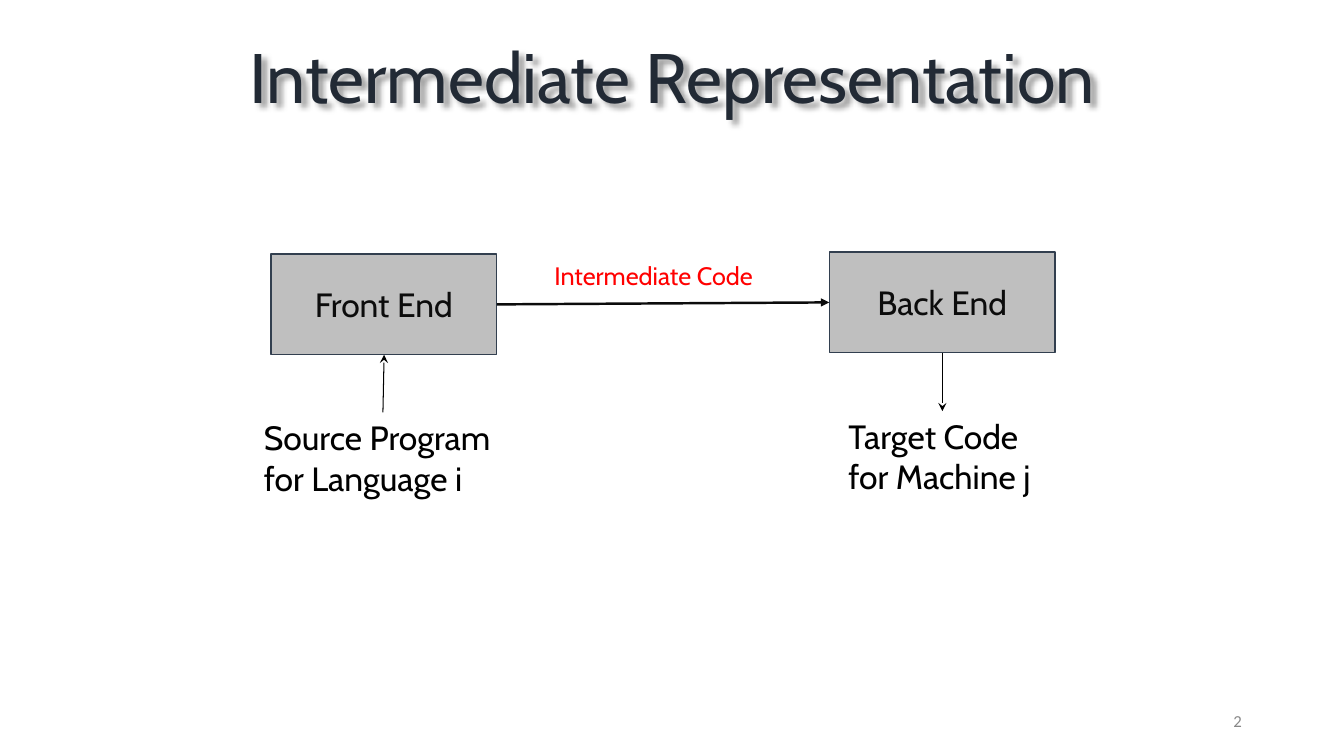
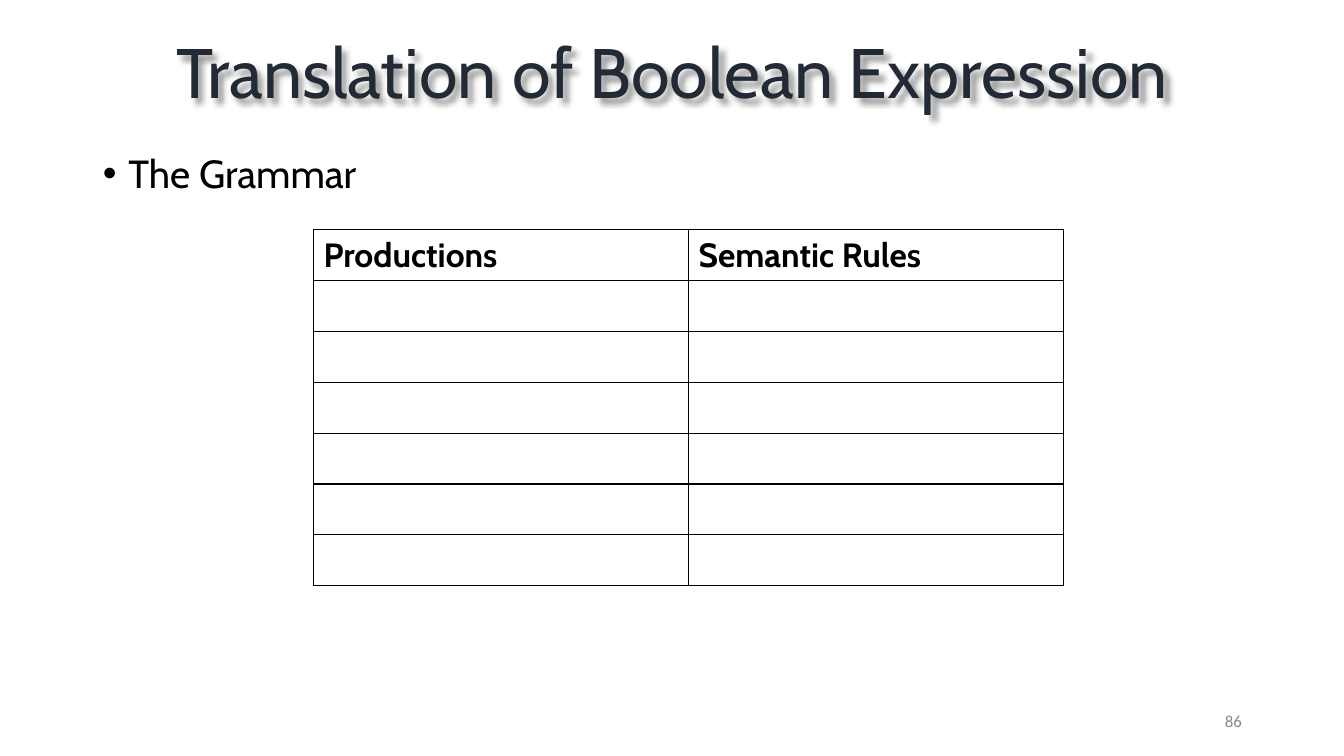
from dataclasses import dataclass

from lxml import etree
from pptx import Presentation
from pptx.dml.color import RGBColor
from pptx.enum.shapes import MSO_CONNECTOR, MSO_SHAPE
from pptx.enum.text import MSO_ANCHOR, MSO_AUTO_SIZE, PP_ALIGN
from pptx.oxml.ns import qn
from pptx.slide import Slide
from pptx.text.text import TextFrame
from pptx.util import Cm, Pt

RECT = MSO_SHAPE.RECTANGLE
STRAIGHT = MSO_CONNECTOR.STRAIGHT
TOP, MIDDLE = MSO_ANCHOR.TOP, MSO_ANCHOR.MIDDLE
LEFT, CENTER, RIGHT = PP_ALIGN.LEFT, PP_ALIGN.CENTER, PP_ALIGN.RIGHT
FIXED = MSO_AUTO_SIZE.NONE

NAVY = RGBColor(0x22, 0x2A, 0x35)
SLATE = RGBColor(0x32, 0x3F, 0x4F)
SILVER = RGBColor(0xBF, 0xBF, 0xBF)
GRAY = RGBColor(0x88, 0x88, 0x88)
INK = RGBColor(0x0C, 0x0C, 0x0C)
BLACK = RGBColor(0, 0, 0)
RED = RGBColor(0xFF, 0, 0)

FONT = "Cabin"
MARGIN, WIDTH = 2.34, 29.21


@dataclass(frozen=True)
class Area:
    left: float
    top: float
    width: float
    height: float

    def cm(self) -> tuple[Cm, Cm, Cm, Cm]:
        return Cm(self.left), Cm(self.top), Cm(self.width), Cm(self.height)


@dataclass(frozen=True)
class Style:
    size: float
    color: RGBColor
    align: PP_ALIGN = LEFT
    anchor: MSO_ANCHOR = TOP
    font: str = FONT
    bold: bool = False
    spacing: float = 1.0


@dataclass(frozen=True)
class Label:
    lines: tuple[str, ...]
    area: Area
    style: Style


@dataclass(frozen=True)
class Box:
    text: str
    area: Area


@dataclass(frozen=True)
class Arrow:
    start: tuple[float, float]
    end: tuple[float, float]
    color: RGBColor
    weight: float
    head: str


TITLE = Style(50, NAVY, CENTER, MIDDLE, spacing=0.9)
BODY = Style(28, BLACK, spacing=0.9)
BOX = Style(24, INK, CENTER, MIDDLE)
NOTE = Style(24, BLACK)
CODE = Style(18, RED)
HEADER = Style(24, BLACK, bold=True)
NUMBER = Style(12, GRAY, RIGHT, MIDDLE, "Calibri")

NUMBER_AREA = Area(23.93, 17.65, 7.62, 1.02)
BODY_AREA = Area(MARGIN, 3.76, WIDTH, 13.41)

BOXES = (
    Box("Front End", Area(6.83, 6.4, 5.69, 2.54)),
    Box("Back End", Area(20.9, 6.35, 5.69, 2.54)),
)
LABELS = (
    Label(("Intermediate Code",), Area(13.72, 6.43, 5.59, 1.02), CODE),
    Label(("Source Program", "for Language i"), Area(6.4, 10.39, 6.53, 2.31), NOTE),
    Label(("Target Code", "for Machine j"), Area(21.13, 10.36, 5.23, 2.31), NOTE),
)
ARROWS = (
    Arrow((12.52, 7.67), (20.9, 7.62), INK, 1.75, "triangle"),
    Arrow((9.65, 10.39), (9.68, 8.94), BLACK, 0.75, "stealth"),
    Arrow((23.75, 8.89), (23.75, 10.36), BLACK, 0.75, "stealth"),
)

HEADS = ("Productions", "Semantic Rules")
ROWS = 7
COLUMN, ROW = 9.45, 1.28
TABLE_LEFT, TABLE_TOP = 7.9, 5.79


def add_node(parent: etree._Element, tag: str, **attrs: str) -> etree._Element:
    return etree.SubElement(parent, qn(tag), attrs)


def write(frame: TextFrame, lines: tuple[str, ...], style: Style) -> None:
    frame.word_wrap = True
    frame.auto_size = FIXED
    frame.vertical_anchor = style.anchor
    for index, line in enumerate(lines):
        para = frame.add_paragraph() if index else frame.paragraphs[0]
        para.alignment = style.align
        para.line_spacing = style.spacing
        para.space_before = Pt(0)
        run = para.add_run()
        run.text = line
        run.font.name = style.font
        run.font.size = Pt(style.size)
        run.font.bold = style.bold
        run.font.color.rgb = style.color


def place(holder, area: Area) -> None:
    holder.left, holder.top, holder.width, holder.height = area.cm()


def add_label(slide: Slide, label: Label) -> None:
    box = slide.shapes.add_textbox(*label.area.cm())
    write(box.text_frame, label.lines, label.style)


def start_slide(deck, layout: int, title: str, top: float, height: float, number: str) -> Slide:
    slide = deck.slides.add_slide(deck.slide_layouts[layout])
    holder = slide.shapes.title
    place(holder, Area(MARGIN, top, WIDTH, height))
    write(holder.text_frame, (title,), TITLE)
    effects = add_node(holder.element.spPr, "a:effectLst")
    shadow = add_node(effects, "a:outerShdw", blurRad="50800", dist="50800",
                      dir="2700000", algn="tl", rotWithShape="0")
    color = add_node(shadow, "a:srgbClr", val=str(BLACK))
    add_node(color, "a:alpha", val="40000")
    add_label(slide, Label((number,), NUMBER_AREA, NUMBER))
    return slide


def add_box(slide: Slide, box: Box) -> None:
    shape = slide.shapes.add_shape(RECT, *box.area.cm())
    shape.shadow.inherit = False
    shape.fill.solid()
    shape.fill.fore_color.rgb = SILVER
    shape.line.color.rgb = SLATE
    shape.line.width = Pt(1)
    write(shape.text_frame, (box.text,), BOX)


def add_arrow(slide: Slide, arrow: Arrow) -> None:
    ends = (Cm(value) for value in arrow.start + arrow.end)
    link = slide.shapes.add_connector(STRAIGHT, *ends)
    link.line.color.rgb = arrow.color
    link.line.width = Pt(arrow.weight)
    props = link.element.spPr
    add_node(props.find(qn("a:ln")), "a:tailEnd", type=arrow.head)
    add_node(props, "a:effectLst")


def add_list(slide: Slide, lines: tuple[str, ...]) -> None:
    holder = slide.placeholders[1]
    place(holder, BODY_AREA)
    write(holder.text_frame, lines, BODY)
    for para in holder.text_frame.paragraphs:
        props = para._p.get_or_add_pPr()
        props.set("marL", str(Cm(0.64)))
        props.set("indent", str(Cm(-0.64)))
        color = add_node(props, "a:buClr")
        add_node(color, "a:srgbClr", val=str(BLACK))
        add_node(props, "a:buFont", typeface="Arial")
        add_node(props, "a:buChar", char="•")


def frame_cell(cell) -> None:
    props = cell._tc.get_or_add_tcPr()
    for side in ("a:lnL", "a:lnR", "a:lnT", "a:lnB"):
        line = add_node(props, side, w=str(Pt(1)))
        fill = add_node(line, "a:solidFill")
        add_node(fill, "a:srgbClr", val=str(BLACK))
    cell.fill.background()


def add_grid(slide: Slide) -> None:
    area = Area(TABLE_LEFT, TABLE_TOP, COLUMN * len(HEADS), ROW * ROWS)
    table = slide.shapes.add_table(ROWS, len(HEADS), *area.cm()).table
    table.first_row = False
    table.horz_banding = False
    for column in table.columns:
        column.width = Cm(COLUMN)
    for row in table.rows:
        row.height = Cm(ROW)
    for cell in table.iter_cells():
        frame_cell(cell)
    for index, head in enumerate(HEADS):
        write(table.cell(0, index).text_frame, (head,), HEADER)


def draw_flow(deck) -> None:
    slide = start_slide(deck, 5, "Intermediate Representation", 0.41, 3.23, "2")
    for box in BOXES:
        add_box(slide, box)
    for label in LABELS:
        add_label(slide, label)
    for arrow in ARROWS:
        add_arrow(slide, arrow)


def draw_grammar(deck) -> None:
    slide = start_slide(deck, 1, "Translation of Boolean Expression", 0.08, 3.68, "86")
    add_list(slide, ("The Grammar",))
    add_grid(slide)


def main() -> None:
    deck = Presentation()
    deck.slide_width, deck.slide_height = Cm(33.87), Cm(19.05)
    draw_flow(deck)
    draw_grammar(deck)
    deck.save("out.pptx")


if __name__ == "__main__":
    main()
